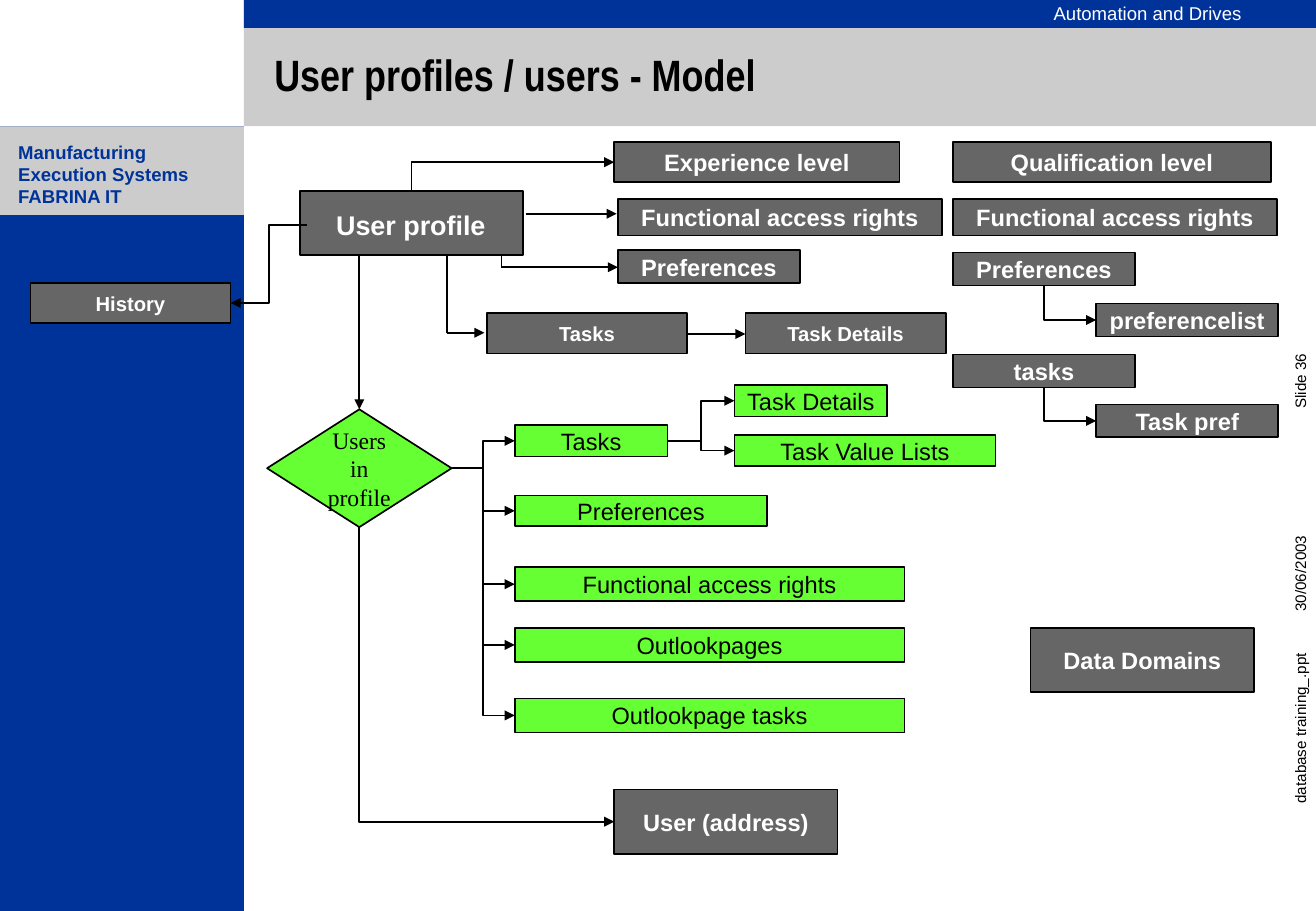
"""Build the user profile model slide: page frame, entity boxes and their links."""
from dataclasses import dataclass

from lxml import etree
from pptx import Presentation
from pptx import util as u
from pptx.dml.color import RGBColor
from pptx.enum import shapes, text
from pptx.oxml import ns

BLUE = RGBColor(0x00, 0x33, 0x99)
SILVER = RGBColor(0xCC, 0xCC, 0xCC)
GRAY = RGBColor(0x66, 0x66, 0x66)
GREEN = RGBColor(0x66, 0xFF, 0x33)
WHITE = RGBColor(0xFF, 0xFF, 0xFF)
BLACK = RGBColor(0x00, 0x00, 0x00)

RECT = shapes.MSO_SHAPE.RECTANGLE
CENTER = text.PP_ALIGN.CENTER
MIDDLE = text.MSO_ANCHOR.MIDDLE
TOP, LEFT, BOTTOM, RIGHT = range(4)


@dataclass(frozen=True)
class Area:
    left: float
    top: float
    width: float
    height: float

    def lengths(self) -> list:
        return [u.Inches(v) for v in (self.left, self.top, self.width, self.height)]


@dataclass(frozen=True)
class Entity:
    label: str
    area: Area
    fill: RGBColor = GRAY
    size: int = 14
    font: str = "Arial"
    outline: shapes.MSO_SHAPE = RECT


@dataclass(frozen=True)
class Link:
    source: str
    target: str
    source_side: int = RIGHT
    target_side: int = LEFT


@dataclass(frozen=True)
class Segment:
    start: tuple[float, float]
    end: tuple[float, float]
    arrow: bool = True


BANDS = [
    (Area(2.01, 0, 8.83, 1.04), SILVER),
    (Area(2.01, 0, 8.83, 0.23), BLUE),
    (Area(0, 1.04, 2.01, 6.46), BLUE),
    (Area(0, 1.04, 2.01, 0.73), SILVER),
]

MARGIN_NOTES = [
    ("30/06/2003", Area(9.87, 4.12, 1.68, 0.25)),
    ("Slide 36", Area(9.87, 2.45, 1.68, 0.25)),
    ("database training_.ppt", Area(9.87, 5.7, 1.68, 0.25)),
]

ENTITIES = {
    "profile": Entity("", Area(2.47, 1.57, 1.84, 0.53)),
    "history": Entity("History", Area(0.25, 2.33, 1.65, 0.33), size=12),
    "experience": Entity("Experience level", Area(5.06, 1.17, 2.35, 0.33)),
    "rights": Entity("Functional access rights", Area(5.09, 1.64, 2.67, 0.3)),
    "preferences": Entity("Preferences", Area(5.09, 2.06, 1.5, 0.27)),
    "tasks": Entity("Tasks", Area(4.01, 2.58, 1.65, 0.33), size=12),
    "details": Entity("Task Details", Area(6.14, 2.58, 1.65, 0.33), size=12),
    "address": Entity("User (address)", Area(5.06, 6.5, 1.84, 0.53)),
    "domains": Entity("Data Domains", Area(8.49, 5.17, 1.84, 0.53)),
    "domain qualification": Entity("Qualification level", Area(7.85, 1.17, 2.62, 0.33)),
    "domain rights": Entity("Functional access rights", Area(7.85, 1.64, 2.67, 0.3)),
    "domain preferences": Entity("Preferences", Area(7.85, 2.08, 1.5, 0.27)),
    "domain preference list": Entity("preferencelist", Area(9.03, 2.5, 1.5, 0.27)),
    "domain tasks": Entity("tasks", Area(7.85, 2.92, 1.5, 0.27)),
    "domain task pref": Entity("Task pref", Area(9.03, 3.33, 1.5, 0.27)),
    "users": Entity("Users\nin\nprofile", Area(2.2, 3.37, 1.52, 0.97), GREEN,
                    font="Times New Roman", outline=shapes.MSO_SHAPE.DIAMOND),
    "user tasks": Entity("Tasks", Area(4.24, 3.5, 1.26, 0.26), GREEN),
    "user details": Entity("Task Details", Area(6.05, 3.17, 1.26, 0.26), GREEN),
    "user values": Entity("Task Value Lists", Area(6.05, 3.58, 2.15, 0.26), GREEN),
    "user preferences": Entity("Preferences", Area(4.24, 4.08, 2.08, 0.25), GREEN),
    "user rights": Entity("Functional access rights", Area(4.24, 4.67, 3.21, 0.28), GREEN),
    "user pages": Entity("Outlookpages", Area(4.24, 5.17, 3.21, 0.28), GREEN),
    "user page tasks": Entity("Outlookpage tasks", Area(4.24, 5.75, 3.21, 0.28), GREEN),
}

LINKS = [
    Link("profile", "experience", TOP),
    Link("profile label", "history", LEFT, RIGHT),
    Link("users", "address", BOTTOM),
    *(Link("users", f"user {part}")
      for part in ("tasks", "preferences", "rights", "pages", "page tasks")),
    Link("user tasks", "user details"),
    Link("user tasks", "user values"),
    Link("domain preferences", "domain preference list", BOTTOM),
    Link("domain tasks", "domain task pref", BOTTOM),
]

SEGMENTS = [
    Segment((4.33, 1.76), (5.08, 1.76)),
    Segment((4.13, 2.1), (4.13, 2.2), arrow=False),
    Segment((4.13, 2.2), (5.09, 2.2)),
    Segment((3.68, 2.11), (3.68, 2.74), arrow=False),
    Segment((3.68, 2.74), (3.99, 2.74)),
    Segment((5.65, 2.75), (6.14, 2.75)),
    Segment((2.96, 2.1), (2.96, 3.37)),
]


def write(shape, words: str, *, size: float, color: RGBColor, font: str = "Arial",
          bold: bool = False, align=text.PP_ALIGN.LEFT, anchor=text.MSO_ANCHOR.TOP,
          insets: tuple = (0.1, 0.05, 0.1, 0.05), wrap: bool = True,
          spacing: float = 1.0) -> None:
    frame = shape.text_frame
    frame.text = words
    frame.word_wrap = wrap
    frame.vertical_anchor = anchor
    (frame.margin_left, frame.margin_top,
     frame.margin_right, frame.margin_bottom) = map(u.Inches, insets)
    for paragraph in frame.paragraphs:
        paragraph.alignment = align
        paragraph.line_spacing = spacing
        paragraph.font.size = u.Pt(size)
        paragraph.font.name = font
        paragraph.font.bold = bold
        paragraph.font.color.rgb = color


def add_text(slide, words: str, area: Area, **style):
    box = slide.shapes.add_textbox(*area.lengths())
    write(box, words, **style)
    return box


def add_block(slide, area: Area, fill: RGBColor, outline=RECT):
    block = slide.shapes.add_shape(outline, *area.lengths())
    block.shadow.inherit = False
    block.fill.solid()
    block.fill.fore_color.rgb = fill
    block.line.fill.background()
    return block


def add_entity(slide, entity: Entity):
    box = add_block(slide, entity.area, entity.fill, entity.outline)
    box.line.color.rgb = BLACK
    box.line.width = u.Pt(1)
    if entity.label:
        dark = entity.fill == GRAY
        write(box, entity.label, size=entity.size, font=entity.font, bold=dark,
              color=WHITE if dark else BLACK, align=CENTER, anchor=MIDDLE, wrap=False)
    return box


def style_line(line, arrow_end: str = "") -> None:
    line.line.color.rgb = BLACK
    line.line.width = u.Pt(1)
    if arrow_end:
        etree.SubElement(line.line._get_or_add_ln(), ns.qn(arrow_end), type="triangle")
    etree.SubElement(line._element.spPr, ns.qn("a:effectLst"))


def add_segment(slide, segment: Segment) -> None:
    points = [u.Inches(v) for v in (*segment.start, *segment.end)]
    line = slide.shapes.add_connector(shapes.MSO_CONNECTOR.STRAIGHT, *points)
    style_line(line, "a:tailEnd" if segment.arrow else "")


def add_link(slide, link: Link, drawn: dict) -> None:
    elbow = slide.shapes.add_connector(shapes.MSO_CONNECTOR.ELBOW, 0, 0, 0, 0)
    ends = [(drawn[link.source], link.source_side), (drawn[link.target], link.target_side)]
    single_bend = link.source_side in (TOP, BOTTOM)
    if single_bend:
        ends.reverse()
        elbow._element.spPr.find(ns.qn("a:prstGeom")).set("prst", "bentConnector2")
    elbow.begin_connect(*ends[0])
    elbow.end_connect(*ends[1])
    style_line(elbow, "a:headEnd" if single_bend else "a:tailEnd")


def main() -> None:
    deck = Presentation()
    deck.slide_width, deck.slide_height = u.Inches(10.84), u.Inches(7.5)
    slide = deck.slides.add_slide(deck.slide_layouts[6])
    for area, fill in BANDS:
        add_block(slide, area, fill)
    add_text(slide, "Automation and Drives", Area(8.58, -0.01, 1.75, 0.27),
             size=11, color=WHITE, wrap=False, spacing=0.9)
    add_text(slide, "Manufacturing Execution Systems\nFABRINA IT", Area(0.11, 1.16, 1.87, 0.55),
             size=11, color=BLUE, bold=True, insets=(0.04, 0, 0.04, 0))
    for words, area in MARGIN_NOTES:
        add_text(slide, words, area, size=9, color=BLACK, insets=(0.05,) * 4).rotation = 270
    add_text(slide, "User profiles / users - Model", Area(2.26, 0.23, 8.58, 0.81), size=26,
             color=BLACK, font="Arial Narrow", bold=True, anchor=MIDDLE,
             insets=(0, 0, 0.1, 0), spacing=0.9)
    drawn = {key: add_entity(slide, entity) for key, entity in ENTITIES.items()}
    drawn["profile label"] = add_text(slide, "User profile", Area(2.53, 1.67, 1.71, 0.36),
                                      size=16, color=WHITE, bold=True, align=CENTER)
    for segment in SEGMENTS:
        add_segment(slide, segment)
    for link in LINKS:
        add_link(slide, link, drawn)
    deck.save("out.pptx")


if __name__ == "__main__":
    main()
